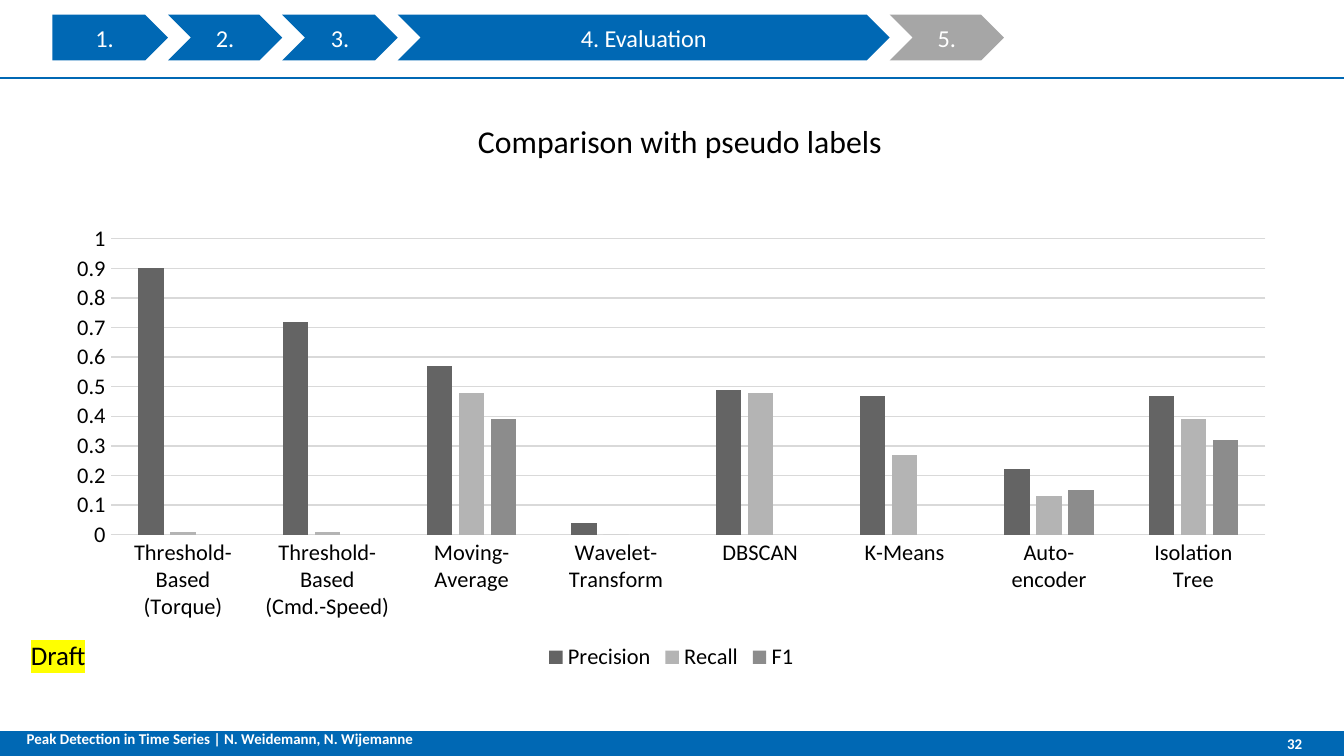
import pptx
import pptx.chart.data
import pptx.dml.color
import pptx.enum.chart
import pptx.enum.shapes
import pptx.enum.text
import pptx.util
from lxml import etree
from pptx.util import Inches

BLUE, GREY, WHITE, BLACK, GRID = "0068B4", "A6A6A6", "FFFFFF", "000000", "D9D9D9"
A_NS = "http://schemas.openxmlformats.org/drawingml/2006/main"
SHAPE = pptx.enum.shapes.MSO_SHAPE
ALIGN = pptx.enum.text.PP_ALIGN
ANCHOR = pptx.enum.text.MSO_ANCHOR
CHART = pptx.enum.chart


def rgb(color):
    return pptx.dml.color.RGBColor.from_string(color)


def write(shape, text, size, color, align, anchor, insets, bold=False):
    frame = shape.text_frame
    sides = ("margin_left", "margin_top", "margin_right", "margin_bottom")
    frame_format = {"word_wrap": True, "vertical_anchor": anchor,
                    "auto_size": pptx.enum.text.MSO_AUTO_SIZE.NONE}
    frame_format.update(zip(sides, map(Inches, insets)))
    for name, value in frame_format.items():
        setattr(frame, name, value)
    paragraph = frame.paragraphs[0]
    paragraph.alignment = align
    run = paragraph.add_run()
    run.text = text
    run.font.color.rgb = rgb(color)
    for name, value in {"size": pptx.util.Pt(size), "name": "Calibri", "bold": bold}.items():
        setattr(run.font, name, value)
    return run


deck = pptx.Presentation()
deck.slide_width, deck.slide_height = Inches(10), Inches(10) * 9 // 16
slide = deck.slides.add_slide(deck.slide_layouts[5])
shapes = slide.shapes

footer_bar = shapes.add_shape(SHAPE.RECTANGLE, 0, Inches(5.44), Inches(10), Inches(0.19))
footer_bar.shadow.inherit = False
footer_bar.fill.solid()
footer_bar.fill.fore_color.rgb = rgb(BLUE)
footer_bar.line.fill.background()

header_rule = shapes.add_connector(
    pptx.enum.shapes.MSO_CONNECTOR.STRAIGHT, Inches(10), Inches(0.58), 0, Inches(0.58))
header_rule.line.color.rgb = rgb(BLUE)
header_rule.line.width = pptx.util.Pt(1.5)
etree.SubElement(header_rule._element.spPr, f"{{{A_NS}}}effectLst")

heading = shapes.title
heading_box = {"left": 0.52, "top": 0.82, "width": 9.08, "height": 0.5}
for name, value in heading_box.items():
    setattr(heading, name, Inches(value))
write(heading, "Comparison with pseudo labels", 17, BLACK,
      ALIGN.CENTER, ANCHOR.TOP, (0.1, 0.05, 0.1, 0.05))
heading.text_frame.paragraphs[0].line_spacing = 1.14

step_left = 0.39
for label, width, kind, color in [
    ("1.", 0.86, SHAPE.PENTAGON, BLUE),
    ("2.", 0.85, SHAPE.CHEVRON, BLUE),
    ("3.", 0.86, SHAPE.CHEVRON, BLUE),
    ("4. Evaluation", 3.66, SHAPE.CHEVRON, BLUE),
    ("5.", 0.85, SHAPE.CHEVRON, GREY),
]:
    step = shapes.add_shape(kind, Inches(step_left), Inches(0.11), Inches(width), Inches(0.34))
    step.shadow.inherit = False
    step.fill.solid()
    step.fill.fore_color.rgb = rgb(color)
    step.line.fill.background()
    write(step, label, 13, WHITE, ALIGN.CENTER, ANCHOR.MIDDLE, (0, 0, 0, 0))
    step_left += width

footer = shapes.add_textbox(Inches(0.1), Inches(5.33), Inches(4.34), Inches(0.34))
write(footer, "Peak Detection in Time Series | N. Weidemann, N. Wijemanne", 8, WHITE,
      ALIGN.LEFT, ANCHOR.TOP, (0.1, 0.1, 0.1, 0.1), bold=True)

page_number = shapes.add_textbox(Inches(8.75), Inches(5.44), Inches(0.94), Inches(0.19))
write(page_number, "32", 8, WHITE, ALIGN.RIGHT, ANCHOR.MIDDLE, (0.1, 0.05, 0, 0.05), bold=True)

draft = shapes.add_textbox(0, Inches(4.74), Inches(0.96), Inches(0.47))
draft_run = write(draft, "Draft", 14.4, BLACK, ALIGN.LEFT, ANCHOR.TOP, (0.23, 0.05, 0.1, 0.05))
draft.text_frame.paragraphs[0].line_spacing = 0.85
highlight = etree.Element(f"{{{A_NS}}}highlight")
etree.SubElement(highlight, f"{{{A_NS}}}srgbClr", val="FFFF00")
draft_run._r.rPr.find(f"{{{A_NS}}}solidFill").addnext(highlight)

scores = pptx.chart.data.CategoryChartData()
scores.categories = [
    "Threshold-\nBased\n(Torque)", "Threshold-\nBased\n(Cmd.-Speed)", "Moving-\nAverage",
    "Wavelet-\nTransform", "DBSCAN", "K-Means", "Auto-\nencoder", "Isolation\nTree",
]
metrics = [
    ("Precision", "646464", (0.9, 0.72, 0.57, 0.04, 0.49, 0.47, 0.22, 0.47)),
    ("Recall", "B4B4B4", (0.01, 0.01, 0.48, 0, 0.48, 0.27, 0.13, 0.39)),
    ("F1", "8C8C8C", (None, None, 0.39, None, None, None, 0.15, 0.32)),
]
for metric, color, values in metrics:
    scores.add_series(metric, values)

chart = shapes.add_chart(CHART.XL_CHART_TYPE.COLUMN_CLUSTERED, Inches(0.39), Inches(1.61),
                         Inches(9.21), Inches(3.42), scores).chart
chart.has_title = False
chart.has_legend = True
chart.legend.position = CHART.XL_LEGEND_POSITION.BOTTOM
chart.legend.include_in_layout = False

plot = chart.plots[0]
for name, value in {"gap_width": 219, "overlap": -27, "vary_by_categories": False}.items():
    setattr(plot, name, value)
for series, (metric, color, values) in zip(plot.series, metrics):
    series.format.fill.solid()
    series.format.fill.fore_color.rgb = rgb(color)

methods_axis, score_axis = chart.category_axis, chart.value_axis
score_format = {"minimum_scale": 0, "maximum_scale": 1, "major_unit": 0.1,
                "has_major_gridlines": True}
for name, value in score_format.items():
    setattr(score_axis, name, value)
for axis in (methods_axis, score_axis):
    axis.major_tick_mark = axis.minor_tick_mark = CHART.XL_TICK_MARK.NONE
for line in (methods_axis.format.line, score_axis.major_gridlines.format.line):
    line.color.rgb = rgb(GRID)
    line.width = pptx.util.Pt(0.75)
score_axis.format.line.fill.background()

for part, size in [(chart, 10), (methods_axis.tick_labels, 12),
                   (score_axis.tick_labels, 12), (chart.legend, 12)]:
    part.font.size = pptx.util.Pt(size)
    part.font.name = "Calibri"
    part.font.color.rgb = rgb(BLACK)

deck.save("out.pptx")
